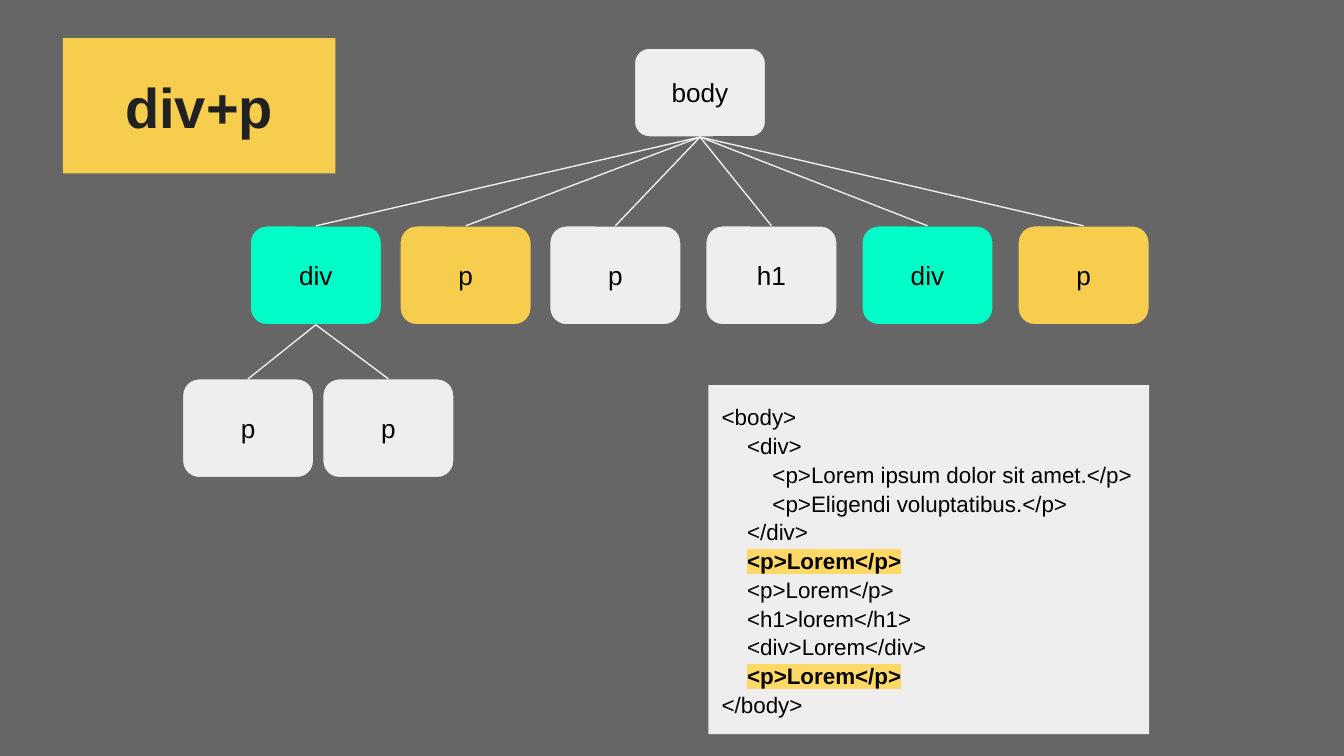
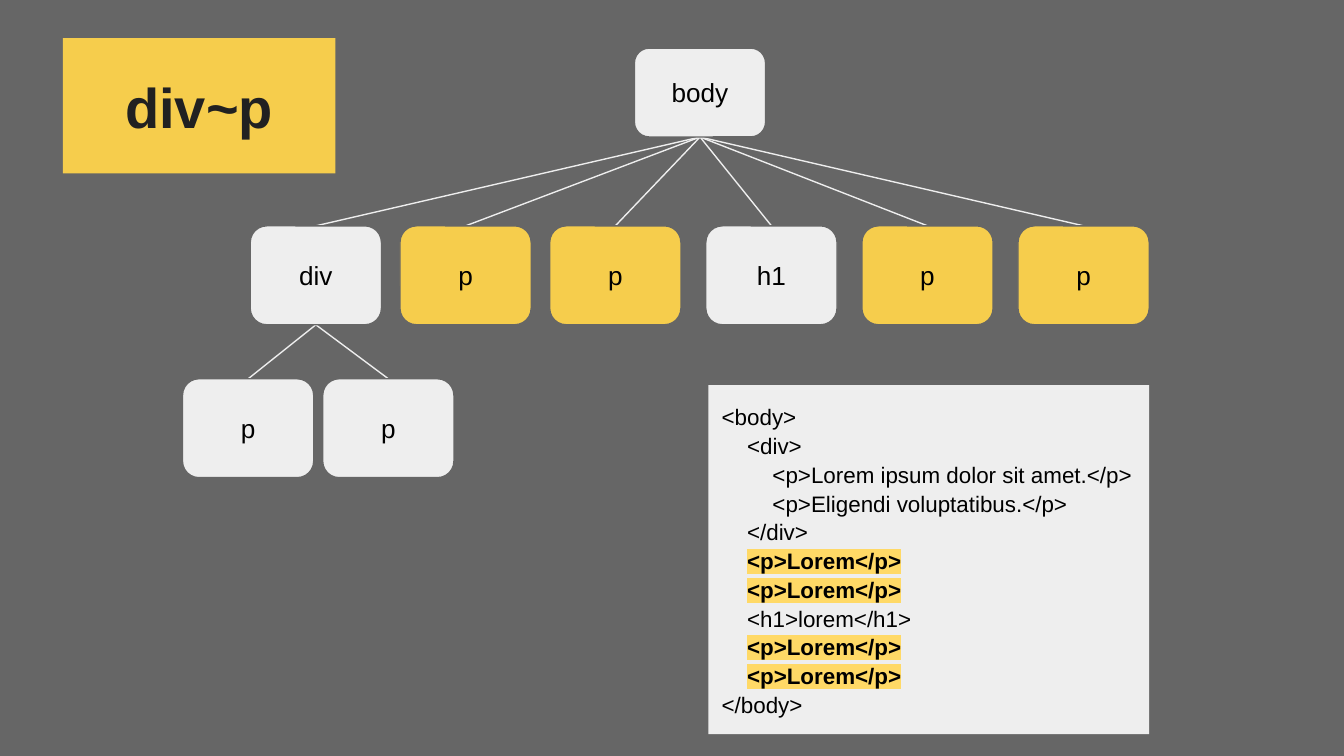
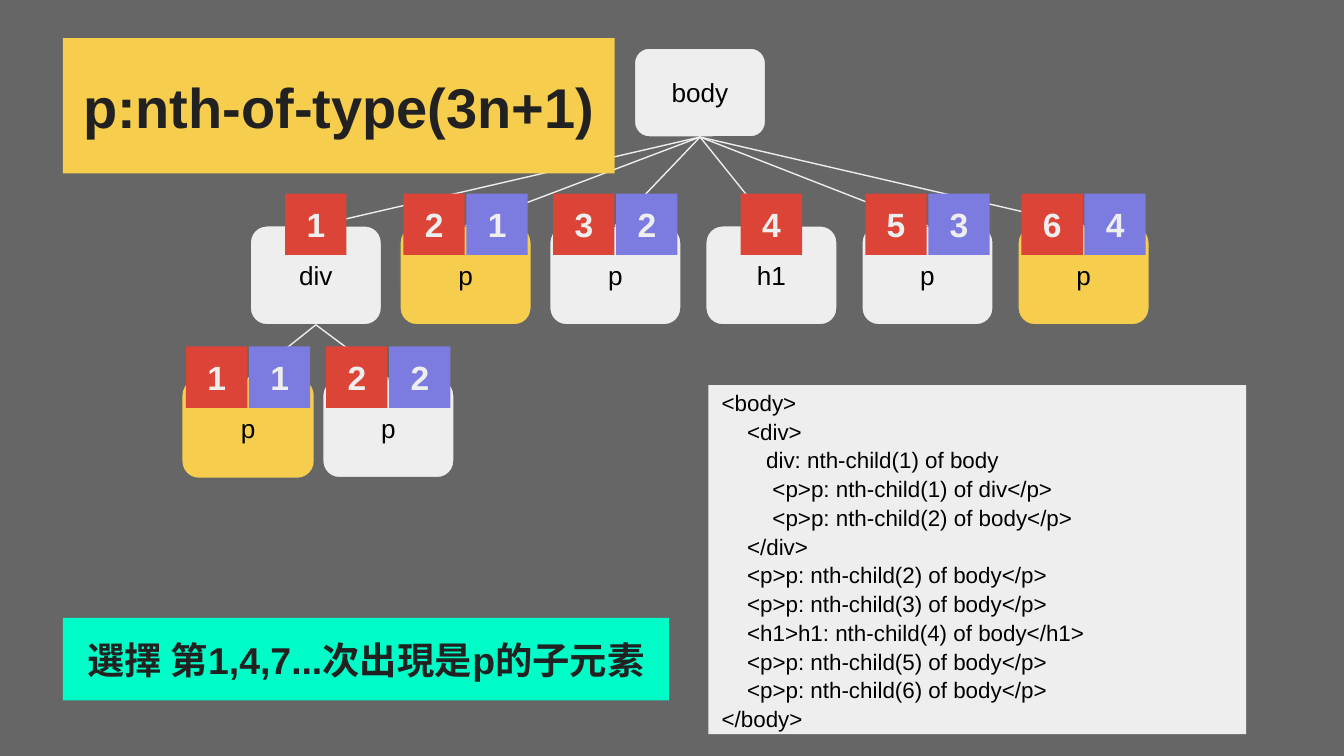
from dataclasses import dataclass

from lxml.etree import SubElement
from pptx import Presentation
from pptx.dml.color import RGBColor
from pptx.enum.shapes import MSO_CONNECTOR as Connector
from pptx.enum.shapes import MSO_SHAPE as Preset
from pptx.enum.text import MSO_ANCHOR as Anchor
from pptx.enum.text import PP_ALIGN as Align
from pptx.oxml.ns import qn
from pptx.util import Cm, Pt


@dataclass(frozen=True)
class Theme:
    font: str = "Arial"
    backdrop: str = "666666"
    plain: str = "EEEEEE"
    match: str = "F6CD4C"
    anchor: str = "00FDC8"
    child_index: str = "DB4437"
    type_index: str = "7C7CE0"
    highlight: str = "FFD966"
    ink: str = "000000"
    heading_ink: str = "212121"
    heading_size: int = 30
    caption_size: int = 20
    badge_size: int = 18
    node_size: int = 14
    code_size: int = 12
    line_width: float = 0.75
    code_spacing: float = 1.07


@dataclass(frozen=True)
class Node:
    label: str
    fill: str
    badges: tuple = ()
    outlined: bool = True


THEME = Theme()
NODE_WIDTH, NODE_HEIGHT = 2.48, 1.87
BODY_CENTRE, BODY_TOP, BODY_HEIGHT = 13.23, 0.91, 1.68
SIBLING_TOP, NESTED_TOP = 4.27, 7.16
SIBLING_CENTRES = [5.97 + 2.83 * i for i in range(3)] + [14.58 + 2.95 * i for i in range(3)]
NESTED_CENTRES = [4.69, 7.34]
BADGE_SIDE, BADGE_PITCH, BADGE_RISE = 1.16, 1.19, 0.61
MARGIN = 1.19
SPACE_WIDTH = 0.12


class Deck:
    def __init__(self, theme):
        self.theme = theme
        self.presentation = Presentation()
        self.presentation.slide_width = Cm(25.4)
        self.presentation.slide_height = Cm(14.29)
        backdrop = self.presentation.slide_master.background.fill
        backdrop.solid()
        backdrop.fore_color.rgb = RGBColor.from_string(theme.backdrop)
        self.slide = None

    def new_slide(self):
        self.slide = self.presentation.slides.add_slide(self.presentation.slide_layouts[6])

    def box(self, place, fill, text, size, ink, bold=False, align=Align.CENTER,
            preset=Preset.RECTANGLE, outlined=False, shapes=None):
        shapes = shapes or self.slide.shapes
        panel = shapes.add_shape(preset, *(Cm(length) for length in place))
        panel.shadow.inherit = False
        panel.fill.solid()
        panel.fill.fore_color.rgb = RGBColor.from_string(fill)
        if outlined:
            panel.line.color.rgb = RGBColor.from_string(self.theme.backdrop)
            panel.line.width = Pt(self.theme.line_width)
        else:
            panel.line.fill.background()
        frame = panel.text_frame
        frame.word_wrap = True
        frame.vertical_anchor = Anchor.MIDDLE
        frame.margin_left = frame.margin_right = Cm(0.25)
        frame.margin_top = frame.margin_bottom = Cm(0.25)
        frame.text = text
        for paragraph in frame.paragraphs:
            paragraph.alignment = align
            for run in paragraph.runs:
                run.font.name = self.theme.font
                run.font.size = Pt(size)
                run.font.bold = bold
                run.font.color.rgb = RGBColor.from_string(ink)
        return panel

    def heading(self, text, width):
        self.box((MARGIN, 0.72, width, 2.56), self.theme.match, text,
                 self.theme.heading_size, self.theme.heading_ink, bold=True)

    def caption(self, text):
        self.box((MARGIN, 11.68, 11.46, 1.56), self.theme.anchor, text,
                 self.theme.caption_size, self.theme.heading_ink, bold=True)

    def node(self, shapes, node, centre, top, height=NODE_HEIGHT):
        place = (centre - NODE_WIDTH / 2, top, NODE_WIDTH, height)
        return self.box(place, node.fill, node.label, self.theme.node_size, self.theme.ink,
                        preset=Preset.ROUNDED_RECTANGLE, outlined=node.outlined, shapes=shapes)

    def branch(self, shapes, child, parent):
        edge = shapes.add_connector(Connector.STRAIGHT, 0, 0, 0, 0)
        edge.begin_connect(child, 0)
        edge.end_connect(parent, 2)
        edge.line.color.rgb = RGBColor.from_string(self.theme.plain)
        edge.line.width = Pt(self.theme.line_width)
        SubElement(edge._element.spPr, qn("a:effectLst"))

    def tree(self, siblings, nested, grouped=False):
        shapes = self.slide.shapes
        if grouped:
            shapes = shapes.add_group_shape().shapes
        body = self.node(shapes, Node("body", self.theme.plain),
                         BODY_CENTRE, BODY_TOP, BODY_HEIGHT)
        sibling_boxes = [self.node(shapes, node, centre, SIBLING_TOP)
                         for node, centre in zip(siblings, SIBLING_CENTRES)]
        nested_boxes = [self.node(shapes, node, centre, NESTED_TOP)
                        for node, centre in zip(nested, NESTED_CENTRES)]
        for child in sibling_boxes:
            self.branch(shapes, child, body)
        for child in nested_boxes:
            self.branch(shapes, child, sibling_boxes[0])

    def badges(self, nodes, centres, top):
        fills = (self.theme.child_index, self.theme.type_index)
        for node, centre in zip(nodes, centres):
            left = centre - (BADGE_SIDE + BADGE_PITCH * (len(node.badges) - 1)) / 2
            for i, (number, fill) in enumerate(zip(node.badges, fills)):
                self.box((left + i * BADGE_PITCH, top - BADGE_RISE, BADGE_SIDE, BADGE_SIDE),
                         fill, str(number), self.theme.badge_size, self.theme.plain, bold=True)

    def code(self, lines, width, marked=()):
        listing = self.box((13.39, 7.28, width, 6.6), self.theme.plain,
                           "\n".join(line.lstrip() for line in lines),
                           self.theme.code_size, self.theme.ink, align=Align.LEFT)
        for number, (line, paragraph) in enumerate(zip(lines, listing.text_frame.paragraphs), 1):
            depth = len(line) - len(line.lstrip())
            paragraph.line_spacing = self.theme.code_spacing
            properties = paragraph._p.get_or_add_pPr()
            properties.set("marL", str(Cm(depth * SPACE_WIDTH)))
            properties.set("indent", "0")
            if number in marked:
                self.highlight(paragraph.runs[0])

    def highlight(self, run):
        run.font.bold = True
        properties = run._r.get_or_add_rPr()
        marker = SubElement(properties, qn("a:highlight"))
        SubElement(marker, qn("a:srgbClr")).set("val", self.theme.highlight)
        properties.find(qn("a:solidFill")).addnext(marker)

    def save(self):
        self.presentation.save("out.pptx")


CODE_START = [
    "<body>",
    "    <div>",
    "        <p>Lorem ipsum dolor sit amet.</p>",
    "        <p>Eligendi voluptatibus.</p>",
    "    </div>",
    "    <p>Lorem</p>",
    "    <p>Lorem</p>",
    "    <h1>lorem</h1>",
]
CODE_END = ["    <p>Lorem</p>", "</body>"]
NTH_CODE = [
    "<body>",
    "    <div>",
    "       div: nth-child(1) of body",
    "        <p>p: nth-child(1) of div</p>",
    "        <p>p: nth-child(2) of body</p>",
    "    </div>",
    "    <p>p: nth-child(2) of body</p>",
    "    <p>p: nth-child(3) of body</p>",
    "    <h1>h1: nth-child(4) of body</h1>",
    "    <p>p: nth-child(5) of body</p>",
    "    <p>p: nth-child(6) of body</p>",
    "</body>",
]


def main():
    deck = Deck(THEME)
    plain, match, anchor = THEME.plain, THEME.match, THEME.anchor
    plain_pair = [Node("p", plain)] * 2

    deck.new_slide()
    deck.tree([Node("div", anchor), Node("p", match), Node("p", plain),
               Node("h1", plain), Node("div", anchor), Node("p", match)], plain_pair)
    deck.heading("div+p", 5.15)
    deck.code(CODE_START + ["    <div>Lorem</div>"] + CODE_END, 8.33, marked=(6, 10))

    deck.new_slide()
    deck.tree([Node("div", plain), Node("p", match), Node("p", match),
               Node("h1", plain), Node("p", match), Node("p", match)], plain_pair, grouped=True)
    deck.heading("div~p", 5.15)
    deck.code(CODE_START + ["    <p>Lorem</p>"] + CODE_END, 8.33, marked=(6, 7, 9, 10))

    deck.new_slide()
    siblings = [Node("div", plain, (1,)), Node("p", match, (2, 1)), Node("p", plain, (3, 2)),
                Node("h1", plain, (4,)), Node("p", plain, (5, 3)), Node("p", match, (6, 4))]
    nested = [Node("p", match, (1, 1), outlined=False), Node("p", plain, (2, 2))]
    deck.tree(siblings, nested)
    deck.heading("p:nth-of-type(3n+1)", 10.43)
    deck.code(NTH_CODE, 10.16)
    deck.caption("選擇 第1,4,7...次出現是p的子元素")
    deck.badges(siblings, SIBLING_CENTRES, SIBLING_TOP)
    deck.badges(nested, NESTED_CENTRES, NESTED_TOP)

    deck.save()


if __name__ == "__main__":
    main()
